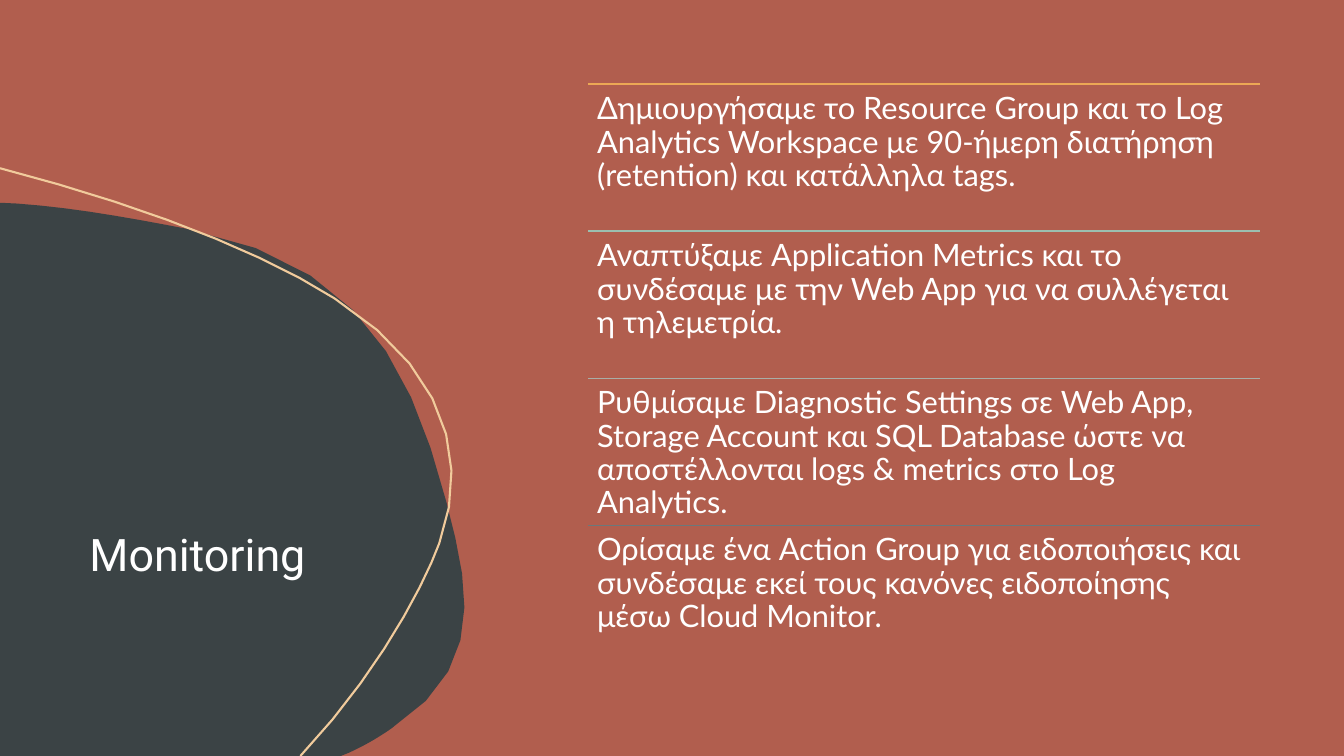
"""Build the Monitoring slide: a curved title panel beside four ruled statements."""
from dataclasses import dataclass

from lxml import etree
from pptx import Presentation
from pptx import util as u
from pptx.dml.color import RGBColor
from pptx.enum import shapes, text
from pptx.oxml import ns


@dataclass(frozen=True)
class Theme:
    """Colours, fonts and type sizes of the slide."""
    background: str = "B15E4E"
    panel: str = "3B4345"
    arc: str = "F1CB9C"
    ink: str = "FFFFFF"
    title_font: str = "Roboto"
    body_font: str = "Lato"
    title_size: int = 32
    body_size: int = 22


THEME = Theme()

STATEMENTS = [
    ("ECA855", "Δημιουργήσαμε το Resource Group και το Log Analytics Workspace "
               "με 90-ήμερη διατήρηση (retention) και κατάλληλα tags."),
    ("9BBFB0", "Αναπτύξαμε Application Metrics και το συνδέσαμε με την Web App "
               "για να συλλέγεται η τηλεμετρία."),
    ("A9AEA7", "Ρυθμίσαμε Diagnostic Settings σε Web App, Storage Account και SQL Database "
               "ώστε να αποστέλλονται logs & metrics στο Log Analytics."),
    ("6A787C", "Ορίσαμε ένα Action Group για ειδοποιήσεις και συνδέσαμε εκεί "
               "τους κανόνες ειδοποίησης μέσω Cloud Monitor."),
]
LIST_LEFT, LIST_TOP, LIST_WIDTH, LIST_HEIGHT = 14.82, 2.12, 16.93, 14.82
ROW_HEIGHT = LIST_HEIGHT / len(STATEMENTS)
INSET = 0.23
CURVE_STEPS = 7

PANEL_START = (0, 5.11)
PANEL_SEGMENTS = [
    [(0.43, 5.13)],
    [(1.83, 5.23), (3.28, 5.49), (4.72, 5.77)],
    [(9.19, 6.63), (10.39, 9.4), (11.25, 12.65)],
    [(11.81, 14.81), (12.29, 16.79), (9.86, 18.36)],
    [(9.53, 18.59), (9.17, 18.8), (8.79, 18.97)],
    [(8.59, 19.05)],
    [(0, 19.05)],
]
ARC_START = (0, 4.24)
ARC_SEGMENTS = [
    [(3.53, 5.16), (6.55, 6.32), (8.43, 7.52)],
    [(11.25, 9.32), (11.84, 11.58), (11.07, 13.69)],
    [(10.72, 14.66), (9.58, 16.92), (7.57, 19.05)],
]


def rgb(value):
    """Return the colour for a hex string."""
    return RGBColor.from_string(value)


def bezier_point(controls, t):
    """Return the point at t on a cubic curve."""
    weights = ((1 - t) ** 3, 3 * t * (1 - t) ** 2, 3 * t ** 2 * (1 - t), t ** 3)
    return tuple(sum(w * c for w, c in zip(weights, axis)) for axis in zip(*controls))


def trace(start, segments):
    """Return the vertices of an outline made of straight and curved segments."""
    vertices = [start]
    for segment in segments:
        if len(segment) == 1:
            vertices += segment
        else:
            controls = [vertices[-1], *segment]
            vertices += [bezier_point(controls, step / CURVE_STEPS)
                         for step in range(1, CURVE_STEPS + 1)]
    return vertices


def add_outline(slide, start, segments, close):
    """Add a shadowless freeform through the traced vertices."""
    first, *rest = [(u.Cm(x), u.Cm(y)) for x, y in trace(start, segments)]
    builder = slide.shapes.build_freeform(*first)
    builder.add_line_segments(rest, close=close)
    outline = builder.convert_to_shape()
    outline.shadow.inherit = False
    return outline


def add_panel(slide):
    """Add the filled panel behind the title."""
    panel = add_outline(slide, PANEL_START, PANEL_SEGMENTS, True)
    panel.fill.solid()
    panel.fill.fore_color.rgb = rgb(THEME.panel)
    panel.line.fill.background()


def add_arc(slide):
    """Add the thin arc that crosses the panel."""
    arc = add_outline(slide, ARC_START, ARC_SEGMENTS, False)
    arc.fill.background()
    arc.line.color.rgb = rgb(THEME.arc)
    arc.line.width = u.Pt(1.5)


def write(frame, wording, font_name, size):
    """Write one left-aligned run into a text frame."""
    frame.word_wrap = True
    frame.auto_size = text.MSO_AUTO_SIZE.NONE
    paragraph = frame.paragraphs[0]
    paragraph.alignment = text.PP_ALIGN.LEFT
    paragraph.line_spacing = 0.9
    run = paragraph.add_run()
    run.text = wording
    run.font.name = font_name
    run.font.size = u.Pt(size)
    run.font.color.rgb = rgb(THEME.ink)


def set_title(slide, wording):
    """Place the title in front of the panel and write it."""
    title = slide.shapes.title
    slide.shapes.element.append(title.element)
    title.left, title.top = u.Cm(2), u.Cm(8.43)
    title.width, title.height = u.Cm(8.47), u.Cm(6.35)
    title.text_frame.vertical_anchor = text.MSO_ANCHOR.BOTTOM
    write(title.text_frame, wording, THEME.title_font, THEME.title_size)


def add_rule(slide, top, colour):
    """Add the thin rule above a statement."""
    rule = slide.shapes.add_connector(
        shapes.MSO_CONNECTOR.STRAIGHT, u.Cm(LIST_LEFT), u.Cm(top),
        u.Cm(LIST_LEFT + LIST_WIDTH), u.Cm(top))
    rule.line.color.rgb = rgb(colour)
    rule.line.width = u.Pt(1)
    etree.SubElement(rule.element.spPr, ns.qn("a:effectLst"))


def add_statement(slide, top, wording):
    """Add the text of one statement."""
    statement = slide.shapes.add_textbox(
        u.Cm(LIST_LEFT), u.Cm(top), u.Cm(LIST_WIDTH), u.Cm(ROW_HEIGHT))
    frame = statement.text_frame
    frame.margin_left = frame.margin_right = u.Cm(INSET)
    frame.margin_top = frame.margin_bottom = u.Cm(INSET)
    frame.vertical_anchor = text.MSO_ANCHOR.TOP
    write(frame, wording, THEME.body_font, THEME.body_size)


def main():
    """Build and save the slide."""
    deck = Presentation()
    deck.slide_width, deck.slide_height = u.Cm(33.87), u.Cm(19.05)
    slide = deck.slides.add_slide(deck.slide_layouts.get_by_name("Title Only"))
    slide.background.fill.solid()
    slide.background.fill.fore_color.rgb = rgb(THEME.background)
    add_panel(slide)
    add_arc(slide)
    set_title(slide, "Monitoring")
    for row, (colour, wording) in enumerate(STATEMENTS):
        top = LIST_TOP + row * ROW_HEIGHT
        add_rule(slide, top, colour)
        add_statement(slide, top, wording)
    deck.save("out.pptx")


if __name__ == "__main__":
    main()
